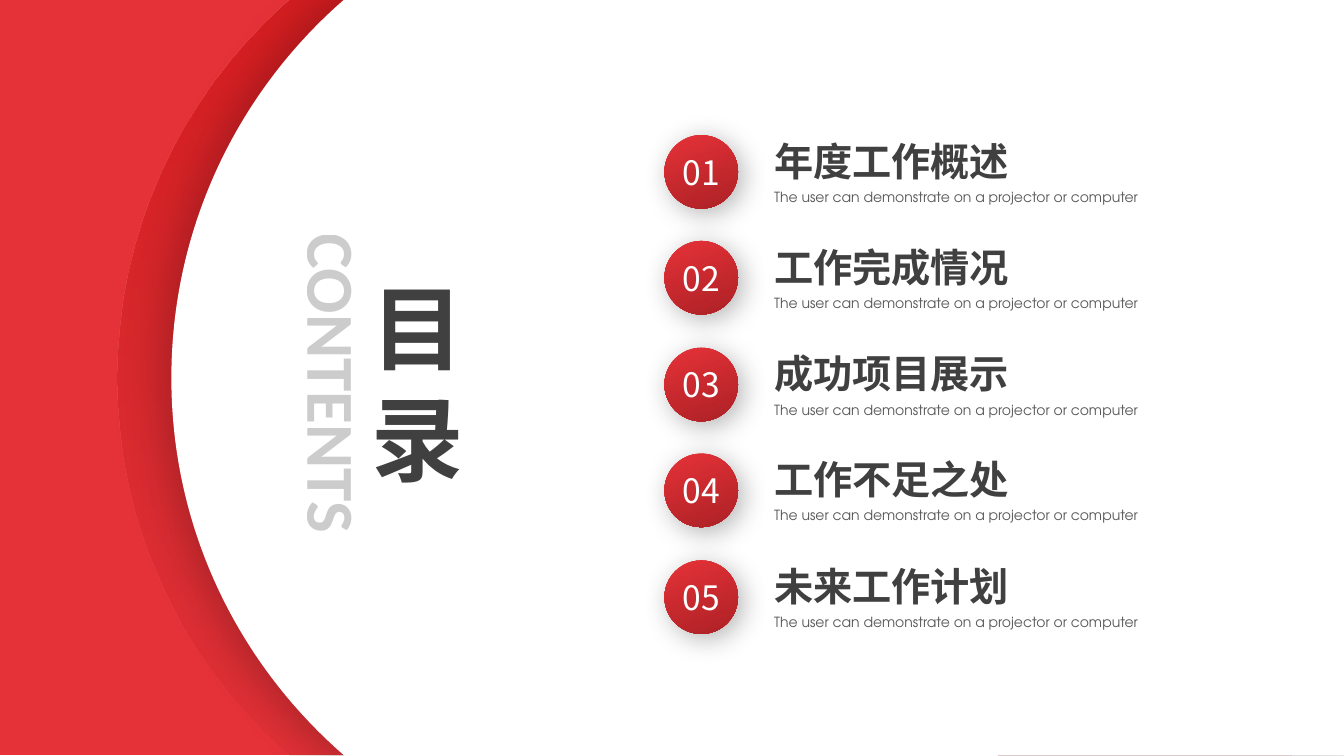
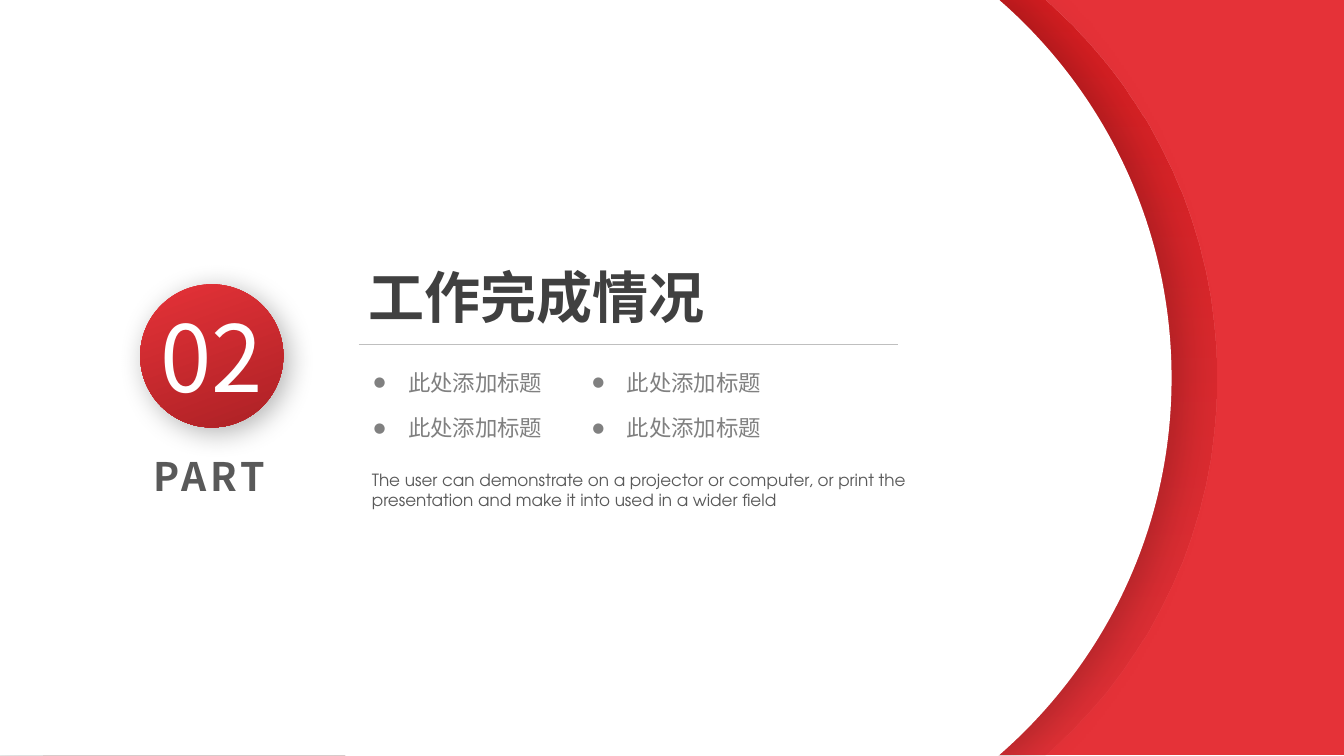
from pptx import Presentation
from pptx.dml.color import RGBColor
from pptx.enum.shapes import MSO_CONNECTOR, MSO_SHAPE
from pptx.enum.text import MSO_ANCHOR, MSO_AUTO_SIZE, PP_ALIGN
from pptx.oxml.ns import qn
from pptx.util import Pt
from lxml.etree import SubElement

PX = 9144
SLIDE_W, SLIDE_H = 1333, 750
RED = RGBColor(0xE5, 0x32, 0x38)
DARK_RED = RGBColor(0xAC, 0x21, 0x25)
DEEP_RED = RGBColor(0xC0, 0x00, 0x00)
WHITE = RGBColor(0xFF, 0xFF, 0xFF)
INK = RGBColor(0x40, 0x40, 0x40)
GREY = RGBColor(0x59, 0x59, 0x59)
MID_GREY = RGBColor(0x80, 0x80, 0x80)
RULE_GREY = RGBColor(0xBF, 0xBF, 0xBF)
HEAD, CJK, LIGHT = "Calibri", "Noto Sans CJK SC", "TeX Gyre Adventor"
PANEL_W, DISC_W = 380, 1164
EDGE = [(172, 0), (575, 0), (819, 0), (1164, 0), (1164, 750), (820, 750), (819, 751), (172, 751),
        (163, 743)]
ARC = [(63, 652), (0, 522), (0, 376), (0, 230), (63, 99), (163, 8)]
CHAPTERS = ["年度工作概述", "工作完成情况", "成功项目展示", "工作不足之处", "未来工作计划"]
CHAPTER_NOTE = "The user can demonstrate on a projector or computer"
PART_NOTE = CHAPTER_NOTE + ", or print the presentation and make it into used in a wider field"
POINT = "此处添加标题"


def emu(*lengths):
    return [n * PX for n in lengths]


def set_alpha(color, percent):
    SubElement(color, qn("a:alpha"), val=str(percent * 1000))


def add_shadow(sp, alpha, blur, dist=0, angle=0, scale=100):
    effects = sp._element.spPr.find(qn("a:effectLst"))
    shadow = SubElement(effects, qn("a:outerShdw"), blurRad=str(Pt(blur)), dist=str(Pt(dist)),
                        dir=str(angle * 60000), sx=str(scale * 1000), sy=str(scale * 1000),
                        algn="ctr", rotWithShape="0")
    set_alpha(SubElement(shadow, qn("a:srgbClr"), val="000000"), alpha)


def fill_solid(sp, color):
    sp.fill.solid()
    sp.fill.fore_color.rgb = color


def fill_gradient(sp, colors, angle, alphas=()):
    sp.fill.gradient()
    sp.fill.gradient_angle = 360 - angle
    for stop, color in zip(sp.fill.gradient_stops, colors):
        stop.color.rgb = color
    for color, alpha in zip(list(sp._element.spPr.iter(qn("a:srgbClr"))), alphas):
        set_alpha(color, alpha)


def plain(sp):
    sp.shadow.inherit = False
    sp.line.fill.background()
    return sp


def write(tf, text, size, color, font=HEAD, bold=False, align=PP_ALIGN.LEFT,
          wrap=False, alpha=None, spacing=None, bullet=None):
    tf.word_wrap = wrap
    p = tf.paragraphs[0]
    p.alignment = align
    if bullet:
        pPr = p._p.get_or_add_pPr()
        pPr.set("marL", str(62 * PX))
        pPr.set("indent", str(-35 * PX))
        SubElement(pPr, qn("a:buFont"), typeface=HEAD)
        SubElement(pPr, qn("a:buChar"), char=bullet)
    r = p.add_run()
    r.text = text
    r.font.size = Pt(size)
    r.font.bold = bold
    r.font.color.rgb = color
    r.font.name = font
    rPr = r._r.get_or_add_rPr()
    SubElement(rPr, qn("a:ea"), typeface=CJK)
    if spacing:
        rPr.set("spc", str(spacing * 100))
    if alpha:
        set_alpha(next(rPr.iter(qn("a:srgbClr"))), alpha)


def add_text(shapes, box, text, size, color, rotation=0, **fmt):
    sp = shapes.add_textbox(*emu(*box))
    sp.rotation = rotation
    write(sp.text_frame, text, size, color, **fmt)
    sp.text_frame.auto_size = MSO_AUTO_SIZE.SHAPE_TO_FIT_TEXT


def curve_segments(sp, first, count):
    lines = list(sp._element.iter(qn("a:lnTo")))[first:first + count]
    for start in range(0, count, 3):
        segment = lines[start:start + 3]
        path = segment[0].getparent()
        curve = path.makeelement(qn("a:cubicBezTo"), {})
        path.insert(path.index(segment[0]), curve)
        for line in segment:
            curve.append(line[0])
            path.remove(line)


def add_disc(shapes, left, top, mirrored):
    outline = [emu(left + (DISC_W - x if mirrored else x), top + y) for x, y in EDGE + ARC]
    builder = shapes.build_freeform(*outline[0])
    builder.add_line_segments(outline[1:], close=True)
    sp = plain(builder.convert_to_shape())
    curve_segments(sp, len(EDGE) - 1, len(ARC))
    return sp


def add_backdrop(shapes, outer, inner, mirrored=False):
    left = SLIDE_W - PANEL_W if mirrored else -3
    panel = plain(shapes.add_shape(MSO_SHAPE.RECTANGLE, *emu(left, -1, PANEL_W, SLIDE_H)))
    fill_solid(panel, RED)
    fill_gradient(add_disc(shapes, outer, -1, mirrored), (DEEP_RED, DARK_RED), 90, (41, 10))
    page = add_disc(shapes, inner, -1, mirrored)
    fill_solid(page, WHITE)
    add_shadow(page, 20, 29, scale=102)


def add_badge(shapes, left, top, size, number, font_size):
    sp = plain(shapes.add_shape(MSO_SHAPE.OVAL, *emu(left, top, size, size)))
    fill_gradient(sp, (RED, DARK_RED), 70)
    add_shadow(sp, 30, 20, 5, 45)
    sp.text_frame.vertical_anchor = MSO_ANCHOR.MIDDLE
    write(sp.text_frame, f"{number:02}", font_size, WHITE, font=CJK, align=PP_ALIGN.CENTER)


def add_chapter(shapes, left, top, number, title):
    group = shapes.add_group_shape().shapes
    add_text(group, (left + 99, top + 51, 412, 27), CHAPTER_NOTE, 10, GREY, font=LIGHT, wrap=True)
    add_text(group, (left + 99, top, 257, 57), title, 28, INK, bold=True)
    add_badge(group, left, top + 3, 73, number, 24)


def add_points(shapes, left, top):
    for col in range(2):
        for row in range(2):
            add_text(shapes, (left + col * 217, top + row * 45, 218, 37), POINT, 16, MID_GREY,
                     bullet="●")


def add_rule(shapes, left, top, width):
    line = shapes.add_connector(MSO_CONNECTOR.STRAIGHT, *emu(left, top, left + width, top))
    line.line.color.rgb = RULE_GREY
    line.line.width = Pt(1)
    SubElement(line._element.spPr, qn("a:effectLst"))


def contents_slide(prs):
    shapes = prs.slides.add_slide(prs.slide_layouts[6]).shapes
    add_backdrop(shapes, 117, 170)
    add_text(shapes, (103, 335, 456, 91), "CONTENTS", 48, GREY, rotation=90, bold=True,
             align=PP_ALIGN.CENTER, alpha=29)
    add_text(shapes, (359, 264, 99, 232), "目录", 66, INK, bold=True, align=PP_ALIGN.CENTER,
             wrap=True)
    for i, title in enumerate(CHAPTERS):
        add_chapter(shapes, 659, 131 + 211 * i // 2, i + 1, title)


def part_slide(prs, number):
    shapes = prs.slides.add_slide(prs.slide_layouts[6]).shapes
    add_backdrop(shapes, 43, -2, mirrored=True)
    add_text(shapes, (359, 461, 654, 50), PART_NOTE, 12, GREY, font=LIGHT, wrap=True)
    add_text(shapes, (356, 256, 358, 77), CHAPTERS[number - 1], 40, INK, bold=True)
    add_rule(shapes, 356, 342, 535)
    add_points(shapes, 333, 361)
    add_badge(shapes, 139, 282, 142, number, 66)
    add_text(shapes, (142, 444, 136, 57), "PART", 28, GREY, font=CJK, bold=True,
             align=PP_ALIGN.JUSTIFY, wrap=True, spacing=3)


def main():
    prs = Presentation()
    prs.slide_width, prs.slide_height = emu(SLIDE_W, SLIDE_H)
    contents_slide(prs)
    part_slide(prs, 2)
    prs.save("out.pptx")


if __name__ == "__main__":
    main()
